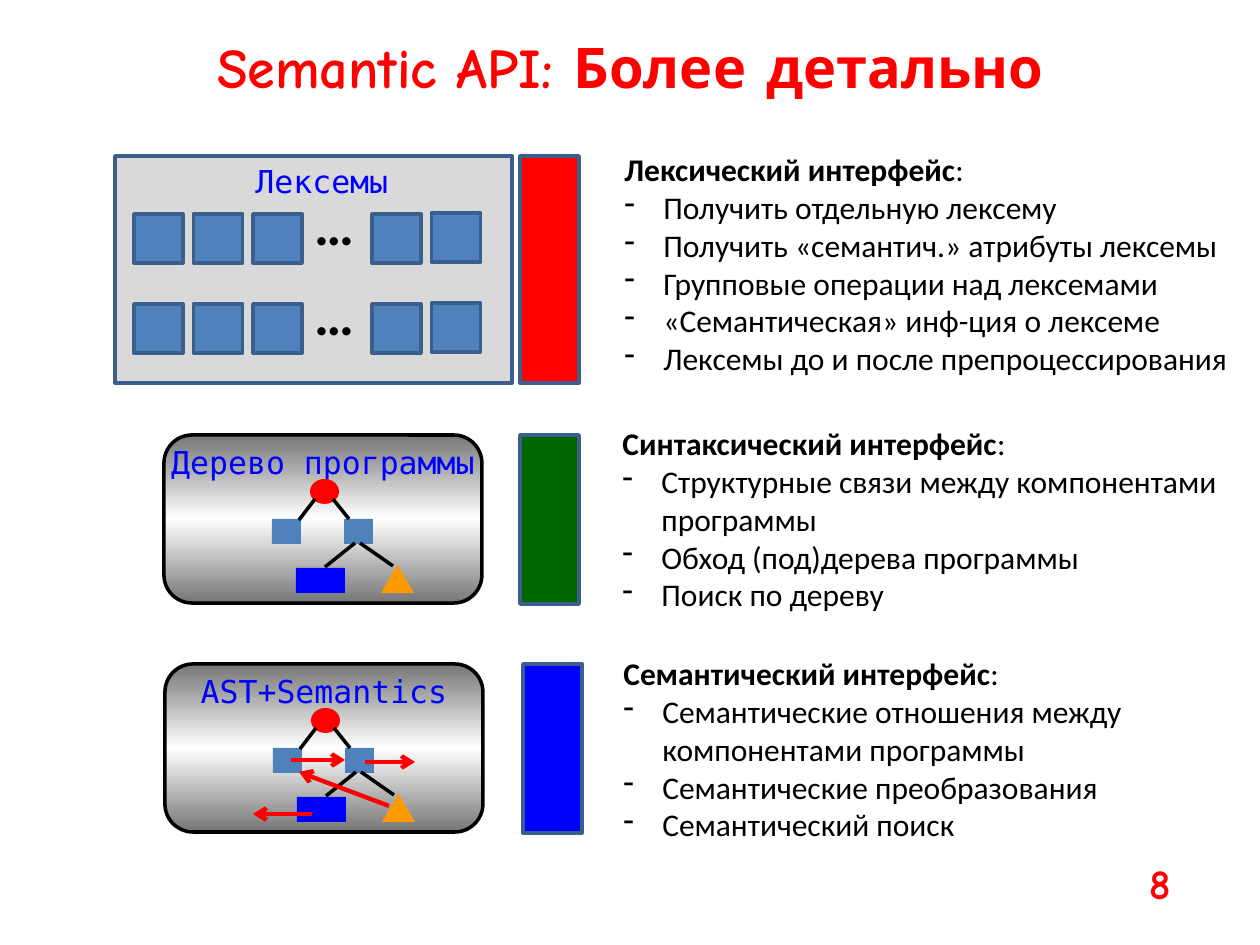
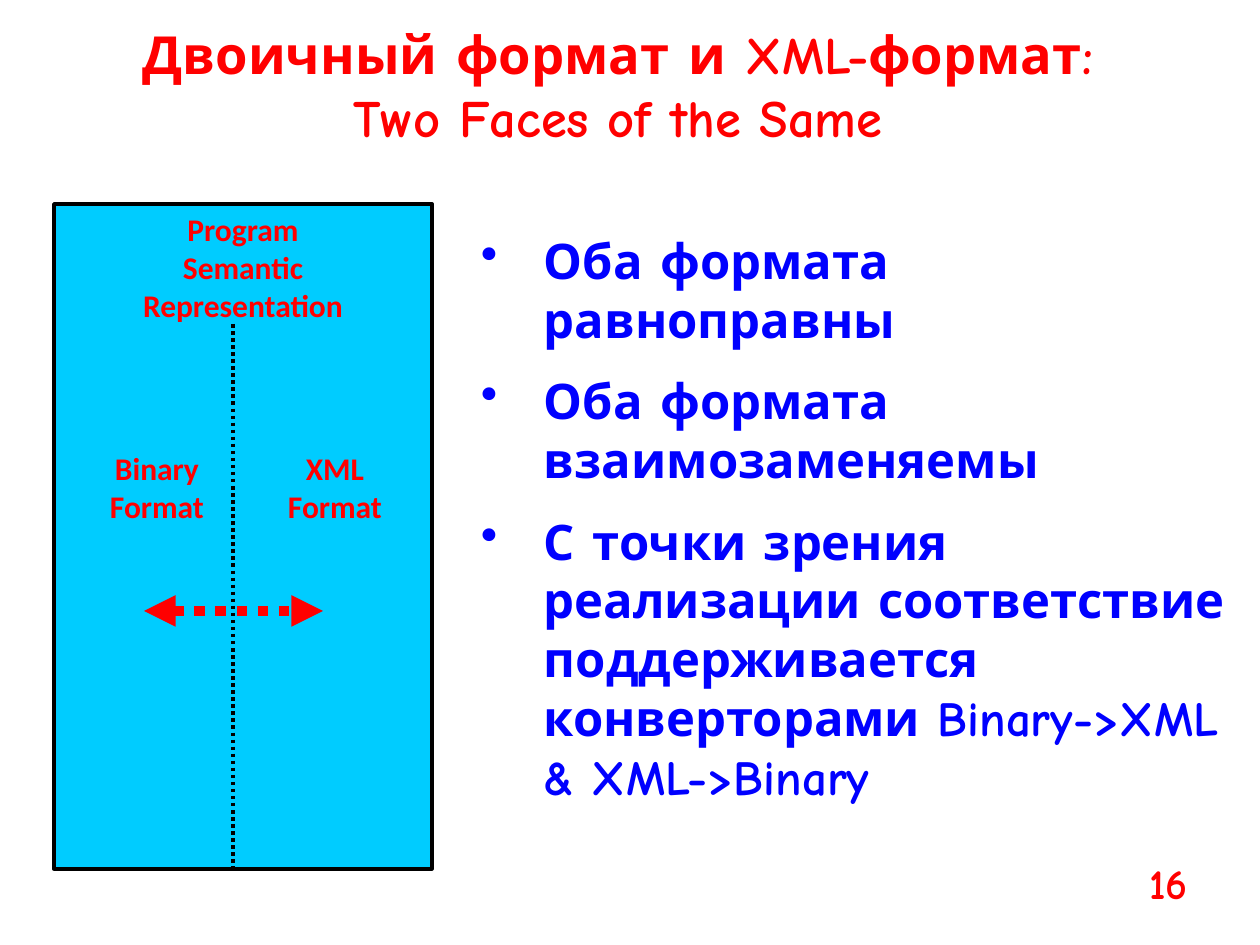
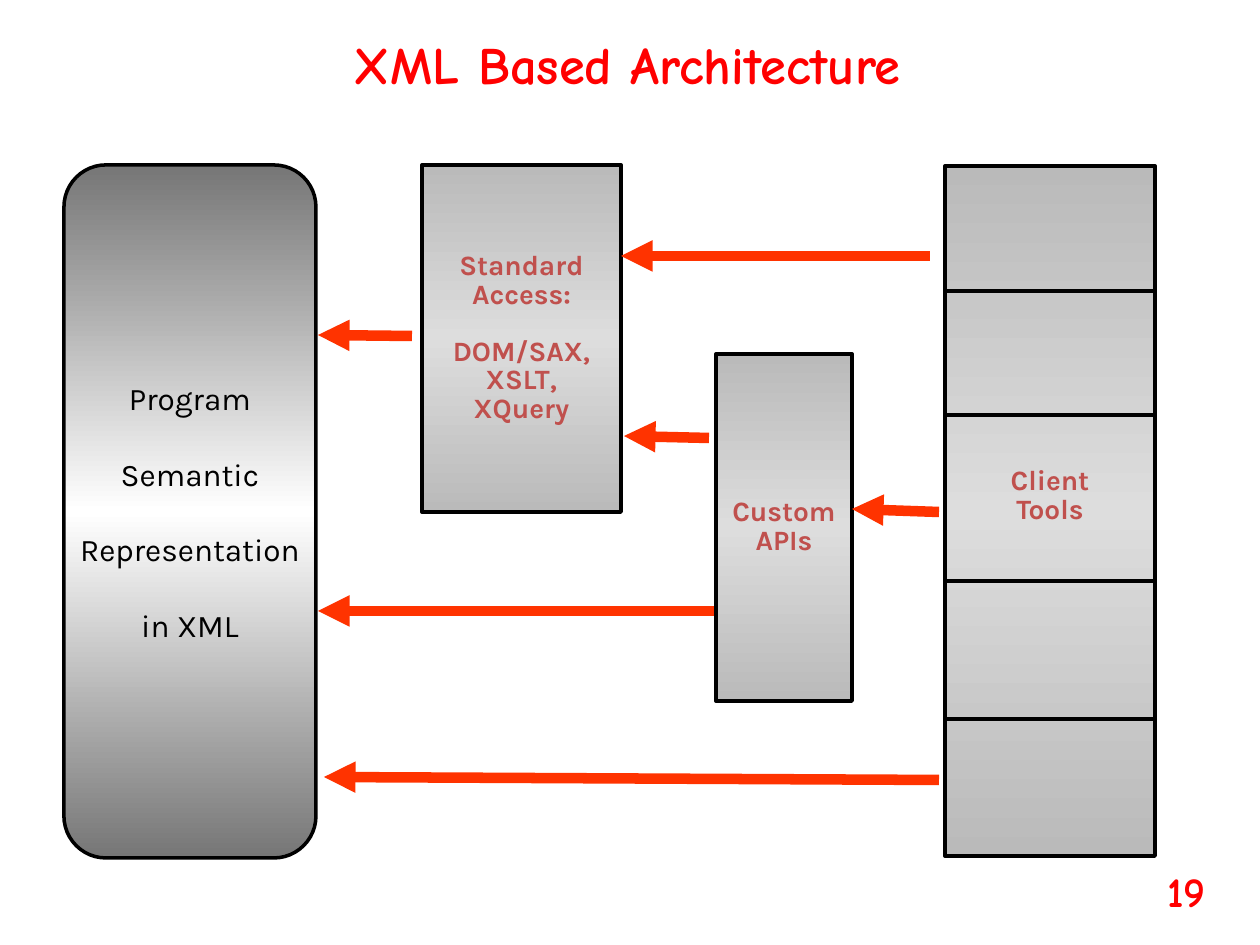
from copy import deepcopy
from itertools import product

from pptx import Presentation
from pptx.dml.color import RGBColor
from pptx.enum.dml import MSO_LINE
from pptx.enum.shapes import MSO_CONNECTOR as Connector, MSO_SHAPE as Shape
from pptx.enum.text import MSO_ANCHOR as Anchor, MSO_AUTO_SIZE as AutoSize, PP_ALIGN as Align
from pptx.oxml.ns import qn
from pptx.oxml.xmlchemy import OxmlElement
from pptx.util import Emu, Pt

SCALE = 914400 / 126
COLORS = {
    "red": "FF0000", "blue": "0000FF", "green": "006600", "black": "000000",
    "panel": "D9D9D9", "token": "4F81BD", "edge": "3A5F8C", "orange": "FF9900",
    "cyan": "00CCFF", "arrow": "FF3300", "brick": "C0504D", "white": "FFFFFF",
    "steel": "767676", "silver": "BABABA", "light": "DDDDDD",
}
STEEL = ("steel", "white")
SILVER = ("silver", "light")
BODY, HAND, MONO, SANS = "Calibri", "Comic Neue", "DejaVu Sans Mono", "Karla"


def px(value):
    return Emu(round(value * SCALE))


def rgb(name):
    return RGBColor.from_string(COLORS[name])


class Deck:
    def __init__(self):
        self.deck = Presentation()
        self.deck.slide_width, self.deck.slide_height = px(1260), px(945)

    def add_page(self, title, place, size, number, number_at=(1137, 851)):
        self.page = self.deck.slides.add_slide(self.deck.slide_layouts[5])
        self.shapes = self.page.shapes
        box = self.page.shapes.title
        box.left, box.top, box.width, box.height = map(px, place)
        self.fill_text(box, [title], size, HAND, "red", bold=True, align=Align.CENTER, grow=True)
        self.text((*number_at, 92, 63), [number], 24, HAND, "red", bold=True)

    def start_group(self):
        self.shapes = self.page.shapes.add_group_shape().shapes

    def end_group(self):
        self.shapes = self.page.shapes

    def fill_text(self, box, paras, size, font, color, bold=False, align=Align.LEFT,
                  anchor=Anchor.TOP, insets=(12.6, 6.3, 12.6, 6.3), wrap=True, grow=False,
                  gap=0, spacing=None, bullet=None, indent=0):
        frame = box.text_frame
        frame.word_wrap = wrap
        frame.auto_size = AutoSize.SHAPE_TO_FIT_TEXT if grow else AutoSize.NONE
        frame.vertical_anchor = anchor
        (frame.margin_left, frame.margin_top,
         frame.margin_right, frame.margin_bottom) = map(px, insets)
        for index, content in enumerate(paras):
            para = frame.add_paragraph() if index else frame.paragraphs[0]
            para.alignment = align
            para.space_before = Pt(gap if index else 0)
            if spacing:
                para.line_spacing = spacing
            spans = [(content, bold)] if isinstance(content, str) else content
            if bullet and isinstance(content, str):
                self.add_bullet(para, bullet, indent)
            for words, heavy in spans:
                for row, line in enumerate(words.split("\n")):
                    if row:
                        para.add_line_break()
                    span = para.add_run()
                    span.text = line
                    span.font.name, span.font.size = font, Pt(size)
                    span.font.bold = heavy
                    span.font.color.rgb = rgb(color)

    def add_bullet(self, para, mark, indent):
        props = para._p.get_or_add_pPr()
        props.set("marL", str(px(indent)))
        props.set("indent", str(-px(indent)))
        bullet = OxmlElement("a:buChar")
        bullet.set("char", mark)
        props.append(bullet)

    def text(self, place, paras, size, font, color, **style):
        box = self.shapes.add_textbox(*map(px, place))
        self.fill_text(box, paras, size, font, color, grow=True, **style)

    def shape(self, kind, place, fill, line=None, width=2):
        box = self.shapes.add_shape(kind, *map(px, place))
        box.shadow.inherit = False
        if isinstance(fill, tuple):
            self.fill_mirrored(box, *fill)
        else:
            box.fill.solid()
            box.fill.fore_color.rgb = rgb(fill)
        if line:
            box.line.color.rgb = rgb(line)
            box.line.width = Pt(width)
        else:
            box.line.fill.background()
        return box

    def fill_mirrored(self, box, outer, middle):
        box.fill.gradient()
        box.fill.gradient_angle = 90
        first, second = box.fill.gradient_stops
        first.color.rgb, second.color.rgb = rgb(outer), rgb(middle)
        first.position, second.position = 0, 0.5
        stops = box._element.spPr.find(".//" + qn("a:gsLst"))
        last = deepcopy(stops[0])
        last.set("pos", "100000")
        stops.append(last)

    def line(self, start, end, color="black", width=2, head=None, tail=None, dash=None):
        wire = self.shapes.add_connector(Connector.STRAIGHT, *map(px, (*start, *end)))
        wire.line.color.rgb = rgb(color)
        wire.line.width = Pt(width)
        if dash:
            wire.line.dash_style = dash
        for tag, kind in (("a:headEnd", head), ("a:tailEnd", tail)):
            if kind:
                tip = OxmlElement(tag)
                tip.set("type", kind)
                wire._element.spPr.find(qn("a:ln")).append(tip)
        wire._element.spPr.append(OxmlElement("a:effectLst"))

    def tree(self, left, top, label):
        self.start_group()
        box = self.shape(Shape.ROUNDED_RECTANGLE, (left, top, 318, 168), STEEL, "black")
        self.fill_text(box, [label], 18, MONO, "blue", align=Align.CENTER,
                       insets=(0, 0, 0, 0), wrap=False)
        nodes = [
            (Shape.RECTANGLE, 108, 84, 29, 25, "token"),
            (Shape.RECTANGLE, 180, 84, 29, 25, "token"),
            (Shape.RECTANGLE, 132, 133, 49, 25, "blue"),
            (Shape.OVAL, 146, 44, 29, 25, "red"),
            (Shape.ISOSCELES_TRIANGLE, 217, 130, 33, 28, "orange"),
        ]
        for kind, x, y, width, height, fill in nodes:
            self.shape(kind, (left + x, top + y, width, height), fill)
        branches = [(151, 64, 135, 85), (169, 64, 185, 84),
                    (191, 108, 161, 132), (196, 108, 229, 131)]
        for x1, y1, x2, y2 in branches:
            self.line((left + x1, top + y1), (left + x2, top + y2))
        self.end_group()

    def interface(self, bar, color, place, name, features):
        self.shape(Shape.RECTANGLE, bar, color, "edge")
        self.text(place, [[(name, True), (":", False)], *features], 18, BODY, "black",
                  bullet="-", indent=39)

    def block(self, place, paras, bottom=6.3):
        box = self.shape(Shape.RECTANGLE, place, SILVER, "black", 2.25)
        self.fill_text(box, paras, 16, SANS, "brick", bold=True, align=Align.CENTER,
                       anchor=Anchor.MIDDLE, insets=(0, 6.3, 0, bottom), gap=16.3,
                       spacing=0.85)


show = Deck()

show.add_page("Semantic API: Более детально", (25, 26, 1211, 81), 32, "8")
show.shape(Shape.RECTANGLE, (115, 156, 397, 227), "panel", "edge")
for top, column in product((214, 304), (0, 1, 2, 4, 5)):
    lift = 1 if column == 5 else 0
    show.shape(Shape.RECTANGLE, (134 + 59.5 * column, top - lift, 49, 49), "token", "edge")
for top in (183, 273):
    show.text((302, top, 118, 81), ["…"], 32, BODY, "black", bold=True)
show.text((243, 156, 198, 50), ["Лексемы"], 18, MONO, "blue")
show.tree(164, 435, "Дерево программы")
show.tree(165, 664, "AST+Semantics")
show.interface((520, 156, 59, 227), "red", (612, 144, 635, 242), "Лексический интерфейс", [
    "Получить отдельную лексему",
    "Получить «семантич.» атрибуты лексемы",
    "Групповые операции над лексемами",
    "«Семантическая» инф-ция о лексеме",
    "Лексемы до и после препроцессирования",
])
show.interface((520, 435, 59, 169), "green", (610, 418, 635, 204), "Синтаксический интерфейс", [
    "Структурные связи между компонентами программы",
    "Обход (под)дерева программы",
    "Поиск по дереву",
])
show.interface((523, 664, 59, 169), "blue", (611, 648, 635, 204), "Семантический интерфейс", [
    "Семантические отношения между компонентами программы",
    "Семантические преобразования",
    "Семантический поиск",
])
for start, end in [((312, 814), (253, 814)), ((365, 762), (415, 762)),
                   ((389, 806), (299, 772)), ((291, 760), (345, 760))]:
    show.line(start, end, "red", 2.5, tail="arrow")

show.add_page("Двоичный формат и XML-формат:\nTwo Faces of the Same",
              (35, 16, 1166, 140), 30, "16")
store = show.shape(Shape.RECTANGLE, (54, 204, 378, 665), "cyan", "black")
show.fill_text(store, ["Program\nSemantic\nRepresentation"], 18, BODY, "red",
               bold=True, align=Align.CENTER)
for left, label in ((82, "Binary\nFormat"), (260, "XML\nFormat")):
    show.text((left, 443, 150, 88), [label], 18, BODY, "red", bold=True, align=Align.CENTER)
show.line((233, 324), (233, 869), dash=MSO_LINE.ROUND_DOT)
show.line((144, 611), (323, 611), "red", 6, "triangle", "triangle", MSO_LINE.ROUND_DOT)
show.text((481, 224, 745, 547), [
    "Оба формата равноправны",
    "Оба формата взаимозаменяемы",
    "С точки зрения реализации соответствие поддерживается конверторами "
    "Binary->XML & XML->Binary",
], 28, HAND, "blue", bold=True, insets=(0, 6.3, 0, 6.3), gap=13, bullet="•", indent=63)

show.add_page("XML Based Architecture", (44, 26, 1166, 76), 30, "19", (1155, 859))
program = show.shape(Shape.ROUNDED_RECTANGLE, (64, 165, 252, 693), STEEL, "black")
show.fill_text(program, ["Program", "Semantic", "Representation", "in XML"], 18, SANS, "black",
               align=Align.CENTER, anchor=Anchor.MIDDLE, insets=(0, 0, 0, 0), wrap=False,
               gap=21.6)
show.block((422, 165, 199, 347), ["Standard\nAccess:", "DOM/SAX,\nXSLT,\nXQuery"])
show.block((716, 354, 136, 347), ["Custom\nAPIs"])
show.block((945, 166, 210, 690), ["Client\nTools"], bottom=35)
for start, end in [((412, 336), (318, 335)), ((709, 438), (624, 436)),
                   ((714, 611), (318, 611)), ((930, 256), (621, 256)),
                   ((939, 512), (852, 509)), ((939, 780), (324, 777))]:
    show.line(start, end, "arrow", 6, tail="triangle")
for level in (291, 415, 581, 719):
    show.line((945, level), (1155, level), width=2.25)

show.deck.save("out.pptx")
